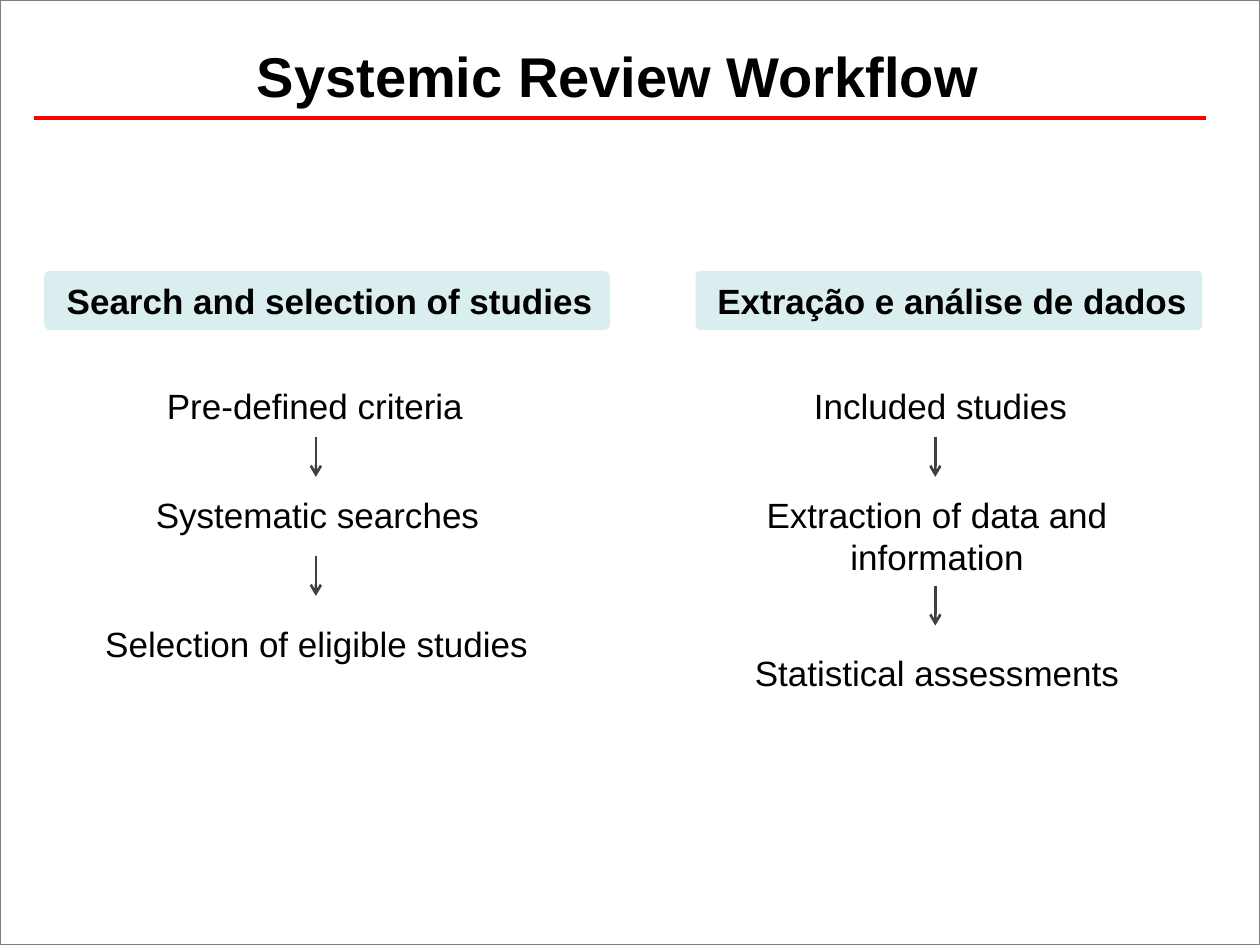
import pptx
import pptx.dml.color
import pptx.enum.shapes
import pptx.enum.text
import pptx.oxml
import pptx.oxml.ns
import pptx.util

Pt = pptx.util.Pt
ALIGN = pptx.enum.text.PP_ALIGN
SHAPE = pptx.enum.shapes.MSO_SHAPE


def colour(hex_string):
    return pptx.dml.color.RGBColor.from_string(hex_string)


class WorkflowSlide:
    """Style of the workflow and the slide being drawn."""

    font = "Arial"
    ink = "000000"
    band = "DAEDEF"
    arrow_grey = "404040"
    rule_red = "FF0000"
    frame_grey = "808080"
    text_size = 20
    title_size = 32
    step_width = 272
    line_height = 31.5
    arrow_length = 22.5

    def __init__(self, slide):
        self.slide = slide

    def fill_text(self, frame, text, size, bold, align):
        frame.word_wrap = True
        paragraph = frame.paragraphs[0]
        paragraph.alignment = align
        run = paragraph.add_run()
        run.text = text
        run.font.name = self.font
        run.font.size = Pt(size)
        run.font.bold = bold
        run.font.color.rgb = colour(self.ink)

    def title(self, text, left, top, width, height):
        heading = self.slide.shapes.title
        heading.left, heading.top = Pt(left), Pt(top)
        heading.width, heading.height = Pt(width), Pt(height)
        heading.text_frame.vertical_anchor = pptx.enum.text.MSO_ANCHOR.TOP
        self.fill_text(heading.text_frame, text, self.title_size, True, ALIGN.CENTER)

    def text(self, text, left, top, width, height, bold=False, align=ALIGN.CENTER):
        box = self.slide.shapes.add_textbox(Pt(left), Pt(top), Pt(width), Pt(height))
        self.fill_text(box.text_frame, text, self.text_size, bold, align)

    def frame(self, width, height):
        border = self.slide.shapes.add_shape(SHAPE.RECTANGLE, 0, 0, Pt(width), Pt(height))
        border.shadow.inherit = False
        border.fill.background()
        border.line.color.rgb = colour(self.frame_grey)
        border.line.width = Pt(0.5)

    def header(self, text, left, width, rounding, text_left):
        band = self.slide.shapes.add_shape(
            SHAPE.ROUNDED_RECTANGLE, Pt(left), Pt(154.8), Pt(width), Pt(33.8))
        band.shadow.inherit = False
        band.adjustments[0] = rounding
        band.fill.solid()
        band.fill.fore_color.rgb = colour(self.band)
        band.line.fill.background()
        self.text(text, text_left, 156.2, left + width - text_left,
                  self.line_height, True, ALIGN.LEFT)

    def line(self, start, end, hex_string, weight, arrow=False):
        line = self.slide.shapes.add_connector(
            pptx.enum.shapes.MSO_CONNECTOR.STRAIGHT, *map(Pt, start + end))
        line.line.color.rgb = colour(hex_string)
        line.line.width = Pt(weight)
        properties = line._element.spPr
        namespace = pptx.oxml.ns.nsdecls("a")
        if arrow:
            properties.find(pptx.oxml.ns.qn("a:ln")).append(
                pptx.oxml.parse_xml(f'<a:tailEnd {namespace} type="arrow"/>'))
        properties.append(pptx.oxml.parse_xml(f"<a:effectLst {namespace}/>"))

    def steps(self, steps, arrow_x, arrow_tops):
        for text, centre, top, lines in steps:
            self.text(text, centre - self.step_width / 2, top, self.step_width,
                      lines * self.line_height - (lines - 1) * 7.5)
        for top in arrow_tops:
            self.line((arrow_x, top), (arrow_x, top + self.arrow_length),
                      self.arrow_grey, 1.5, arrow=True)


def main():
    presentation = pptx.Presentation()
    presentation.slide_width, presentation.slide_height = Pt(720), Pt(540)
    workflow = WorkflowSlide(
        presentation.slides.add_slide(presentation.slide_layouts[5]))

    workflow.frame(720, 540)
    workflow.title("Systemic Review Workflow", 17, 20, 672, 46)
    workflow.line((19.5, 67.5), (689, 67.5), workflow.rule_red, 2.25)

    workflow.header("Search and selection of studies", 25.2, 323.3, 0.1, 31)
    workflow.steps([
        ("Pre-defined criteria", 180, 216, 1),
        ("Systematic searches", 181.5, 278.5, 1),
        ("Selection of eligible studies", 181, 352, 1),
    ], 180.5, (250, 318))

    workflow.header("Extração e análise de dados", 397.5, 289.5, 0.08, 402.8)
    workflow.steps([
        ("Included studies", 537.5, 216, 1),
        ("Extraction of data and information", 535.5, 278.5, 2),
        ("Statistical assessments", 535.5, 368.5, 1),
    ], 534.5, (250, 335))

    presentation.save("out.pptx")


if __name__ == "__main__":
    main()
